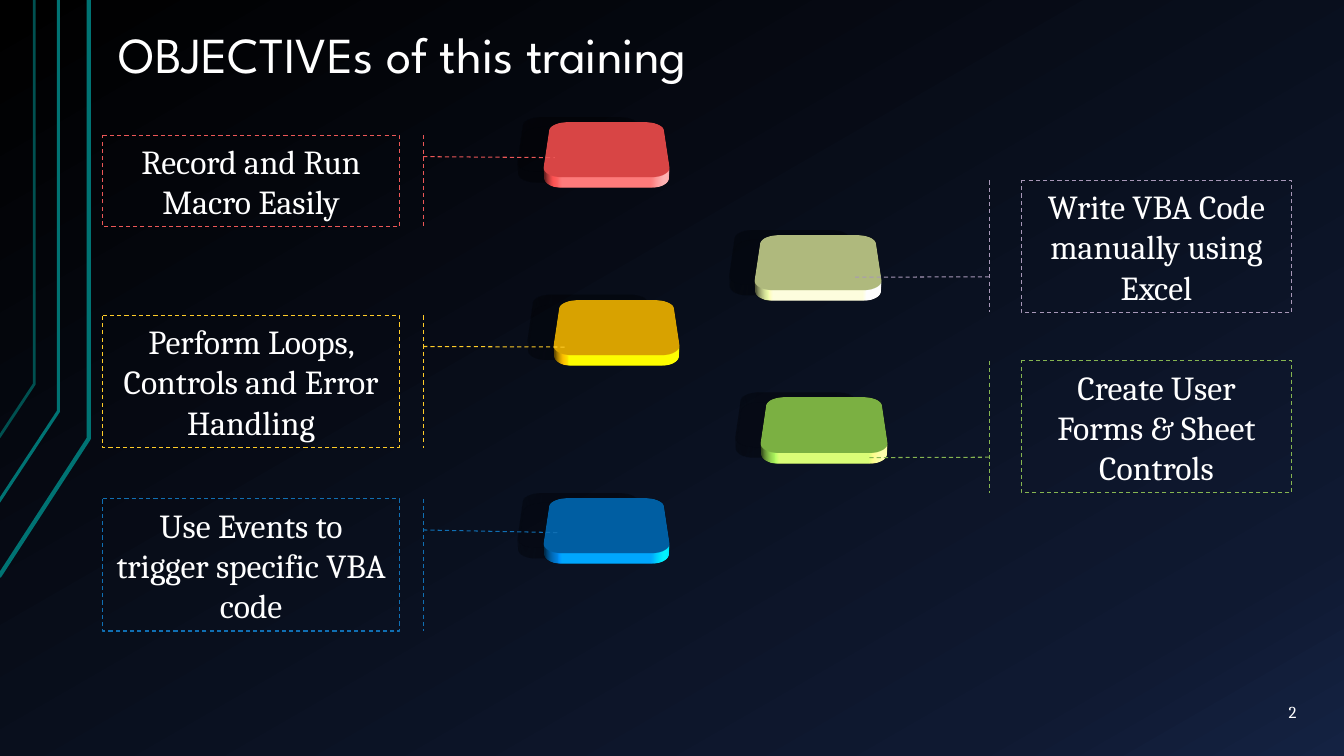
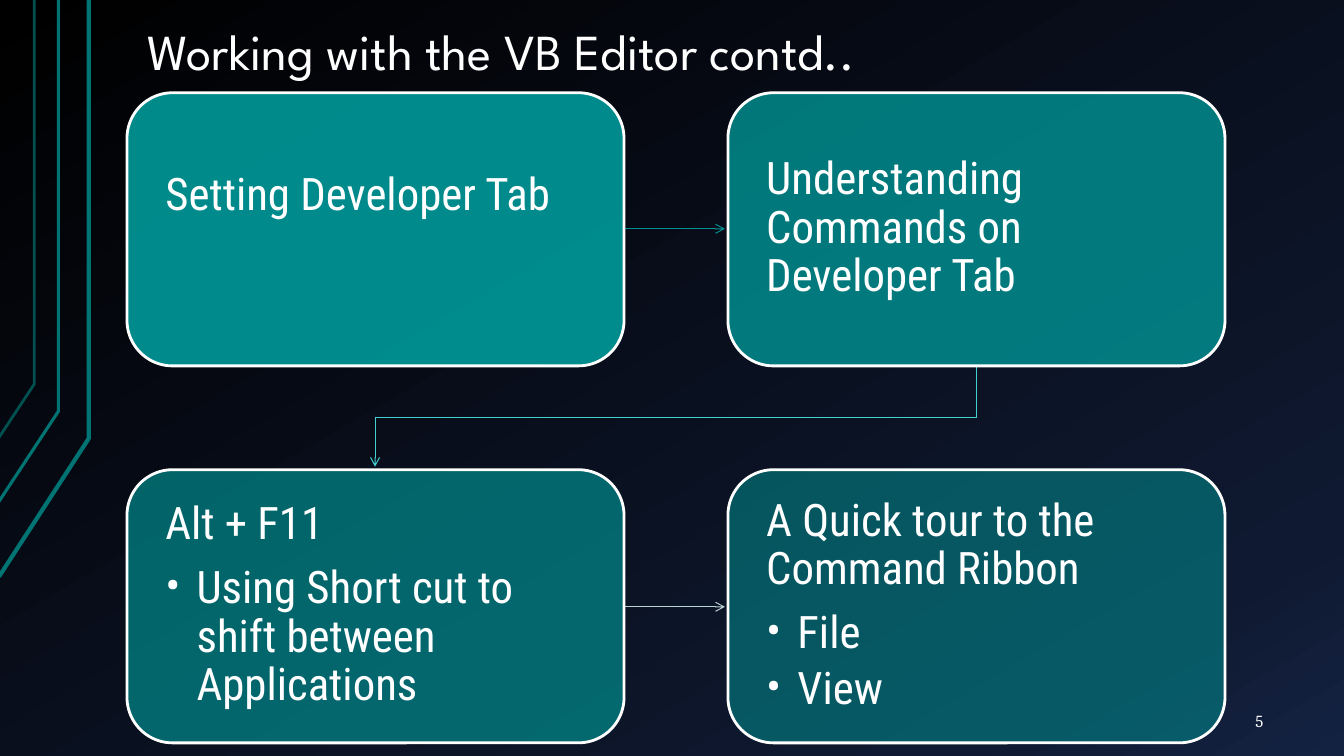
from copy import deepcopy

from lxml import etree
from pptx import Presentation
from pptx.dml.color import RGBColor
from pptx.enum.dml import MSO_LINE
from pptx.enum.shapes import MSO_SHAPE
from pptx.enum.text import MSO_ANCHOR, MSO_AUTO_SIZE, PP_ALIGN
from pptx.oxml import parse_xml
from pptx.oxml.ns import nsdecls, qn
from pptx.util import Inches, Pt

WHITE = RGBColor(0xFF, 0xFF, 0xFF)
BLACK = RGBColor(0x00, 0x00, 0x00)
NAVY = RGBColor(0x0F, 0x19, 0x31)
BLUE = RGBColor(0x14, 0x22, 0x42)
TEAL = RGBColor(0x00, 0x73, 0x73)
DIM = RGBColor(0x00, 0x50, 0x50)
CARD = RGBColor(0x00, 0x99, 0x99)
ARROW = RGBColor(0x00, 0x92, 0x92)
AQUA = RGBColor(0x40, 0xD1, 0xD1)
PALE = RGBColor(0xBC, 0xD4, 0xD4)
TILE_RED = RGBColor(0xFF, 0x53, 0x53)
TILE_SAGE = RGBColor(0xCF, 0xDB, 0x94)
TILE_GOLD = RGBColor(0xFF, 0xC0, 0x00)
TILE_LIME = RGBColor(0x92, 0xD0, 0x50)
TILE_BLUE = RGBColor(0x00, 0x70, 0xC0)
RED = RGBColor(0xEC, 0x57, 0x57)
MAUVE = RGBColor(0xA8, 0x98, 0xB8)
GOLD = RGBColor(0xFF, 0xCC, 0x28)
GREEN = RGBColor(0x86, 0xB5, 0x51)
COBALT = RGBColor(0x10, 0x6F, 0xB3)

LEFT, CENTER, RIGHT = PP_ALIGN.LEFT, PP_ALIGN.CENTER, PP_ALIGN.RIGHT
MIDDLE = MSO_ANCHOR.MIDDLE
FIXED, GROW = MSO_AUTO_SIZE.NONE, MSO_AUTO_SIZE.SHAPE_TO_FIT_TEXT
DASH = MSO_LINE.DASH
CALLOUT = MSO_SHAPE.LINE_CALLOUT_1_BORDER_AND_ACCENT_BAR
ROUND = MSO_SHAPE.ROUNDED_RECTANGLE

SHADOW = f"""<a:outerShdw {nsdecls("a")} blurRad="184150" dist="241300" dir="11520000"
 algn="ctr"><a:srgbClr val="000000"><a:alpha val="18000"/></a:srgbClr></a:outerShdw>"""
SCENE = f"""<a:scene3d {nsdecls("a")}><a:camera prst="perspectiveFront" fov="5100000">
<a:rot lat="18000000" lon="0" rev="0"/></a:camera><a:lightRig rig="flood" dir="t">
<a:rot lat="0" lon="0" rev="13800000"/></a:lightRig></a:scene3d>"""
DEPTH = f"""<a:sp3d {nsdecls("a")} extrusionH="107950" prstMaterial="plastic">
<a:bevelT w="82550" h="63500" prst="divot"/><a:bevelB/></a:sp3d>"""


def trace(slide, points, color, width):
    spots = [(Inches(x), Inches(y)) for x, y in points]
    pen = slide.shapes.build_freeform(*spots[0])
    pen.add_line_segments(spots[1:], close=False)
    shape = pen.convert_to_shape()
    shape.shadow.inherit = False
    shape.fill.background()
    shape.line.color.rgb = color
    shape.line.width = Pt(width)
    return shape


def write(shape, text, font, size, align, spacing, pad):
    frame = shape.text_frame
    frame.word_wrap = True
    frame.auto_size = FIXED
    frame.vertical_anchor = MIDDLE
    frame.margin_left = frame.margin_right = Inches(pad[0])
    frame.margin_top = frame.margin_bottom = Inches(pad[1])
    frame.text = text
    for para in frame.paragraphs:
        para.alignment = align
        para.line_spacing = spacing
        para.font.name = font
        para.font.size = Pt(size)
        para.font.color.rgb = WHITE
    return frame


prs = Presentation()
prs.slide_width = Inches(13.33)
prs.slide_height = Inches(7.5)
master = prs.slide_master
layout = prs.slide_layouts[5]

fill = master.background.fill
fill.gradient()
fill.gradient_angle = 300
stops = master.element.find(".//" + qn("a:gsLst"))
stops.append(deepcopy(stops[-1]))
for stop, (place, color) in zip(fill.gradient_stops, [(0, BLACK), (0.85, NAVY), (1, BLUE)]):
    stop.position = place
    stop.color.rgb = color

PAD = (0.13, 0.07)
HEADS = [
    ("OBJECTIVEs of this training", (1.05, 0.19, 11.33, 0.75), "2", (12, 6.87, 0.99, 0.38)),
    ("Working with the VB Editor contd..", (1.33, -0.13, 11.33, 1.34), "5", (11.55, 6.95, 1.11, 0.4)),
]
slides = []
for title, box, number, corner in HEADS:
    slide = prs.slides.add_slide(layout)
    head = slide.shapes.title
    head.left, head.top, head.width, head.height = map(Inches, box)
    write(head, title, "League Spartan", 36, LEFT, 0.9, PAD)
    page = slide.shapes.add_textbox(*map(Inches, corner))
    write(page, number, "Cambria", 12, RIGHT, 1.0, PAD)
    slides.append(slide)
goals, editor = slides

RAILS = [
    ([(-0.01, 5.72), (0.88, 4.35), (0.88, 0)], 3, TEAL),
    ([(-0.02, 4.99), (0.58, 4.08), (0.58, 0)], 2.25, TEAL),
    ([(-0.01, 4.34), (0.34, 3.81), (0.34, 0)], 2, DIM),
]
for index, (points, width, color) in enumerate(RAILS):
    rail = trace(goals, points, color, width)
    rail.element.find(".//" + qn("p:cNvPr")).set("id", str(50 + index))
    master.shapes.element.append(rail.element)

TILES = [
    (5.42, 4.66, TILE_BLUE),
    (5.52, 2.69, TILE_GOLD),
    (5.42, 0.93, TILE_RED),
    (7.52, 2.05, TILE_SAGE),
    (7.58, 3.66, TILE_LIME),
]
for left, top, color in TILES:
    tile = goals.shapes.add_shape(ROUND, *map(Inches, (left, top, 1.19, 1.08)))
    tile.shadow.inherit = False
    tile.fill.solid()
    tile.fill.fore_color.rgb = color
    tile.line.fill.background()
    effects = tile.element.find(".//" + qn("a:effectLst"))
    effects.append(parse_xml(SHADOW))
    props = effects.getparent()
    props.append(parse_xml(SCENE))
    props.append(parse_xml(DEPTH))

WEST = (1.02, 2.94, 0.235, 1.081)
EAST = (10.13, 2.68, 0.73, -0.119)
NOTES = [
    ("Record and Run Macro Easily", WEST, 1.34, 0.91, 0.246, 1.525, RED),
    ("Write VBA Code manually using Excel", EAST, 1.79, 1.31, 0.733, -0.623, MAUVE),
    ("Perform Loops, Controls and Error Handling", WEST, 3.13, 1.31, 0.239, 1.566, GOLD),
    ("Create User Forms & Sheet Controls", EAST, 3.58, 1.31, 0.733, -0.573, GREEN),
    ("Use Events to trigger specific VBA code", WEST, 4.95, 1.31, 0.255, 1.539, COBALT),
]
for text, (left, width, bar, edge), top, height, end, reach, color in NOTES:
    note = goals.shapes.add_shape(CALLOUT, *map(Inches, (left, top, width, height)))
    note.shadow.inherit = False
    note.fill.background()
    note.line.color.rgb = color
    note.line.width = Pt(0.75)
    note.line.dash_style = DASH
    for index, value in enumerate((bar, edge, end, reach)):
        note.adjustments[index] = value
    frame = write(note, text, "Cambria", 24, CENTER, 1.0, (0.1, 0.05))
    frame.auto_size = GROW

LINKS = [
    ([(6.18, 2.27), (7.19, 2.27)], ARROW),
    ([(9.69, 3.62), (9.69, 4.14), (3.72, 4.14), (3.72, 4.63)], AQUA),
    ([(6.18, 6.02), (7.19, 6.02)], PALE),
]
for points, color in LINKS:
    link = trace(editor, points, color, 0.75)
    line = link.element.find(".//" + qn("a:ln"))
    etree.SubElement(line, qn("a:tailEnd"), type="arrow")

CARDS = [
    ("Setting Developer Tab", [], 90),
    ("Understanding Commands on Developer Tab", [], 77),
    ("Alt + F11", ["Using Short cut to shift between Applications"], 63),
    ("A Quick tour to the Command Ribbon", ["File", "View"], 50),
]
for index, (text, items, alpha) in enumerate(CARDS):
    row, col = divmod(index, 2)
    left, top = 1.26 + 5.96 * col, 0.92 + 3.74 * row
    card = editor.shapes.add_shape(ROUND, *map(Inches, (left, top, 4.93, 2.71)))
    card.shadow.inherit = False
    card.fill.solid()
    card.fill.fore_color.rgb = CARD
    tint = card.element.find(".//" + qn("a:srgbClr"))
    etree.SubElement(tint, qn("a:alpha"), val=str(alpha * 1000))
    card.line.color.rgb = WHITE
    card.line.width = Pt(2)
    label = editor.shapes.add_textbox(*map(Inches, (left + 0.13, top + 0.13, 4.66, 2.44)))
    frame = write(label, "\n".join([text] + items), "Roboto Condensed", 32, LEFT, 0.9, (0.25, 0.25))
    if index == 0:
        frame.margin_bottom = Inches(0.9)
    first, *rest = frame.paragraphs
    first.space_after = Pt(11)
    for para in rest:
        para.level = 1
        para.space_after = Pt(5)
        props = para._p.get_or_add_pPr()
        props.set("marL", str(Inches(0.31)))
        props.set("indent", str(-Inches(0.31)))
        face = props.find(qn("a:defRPr"))
        face.addprevious(etree.Element(qn("a:buFont"), typeface="Roboto Condensed"))
        face.addprevious(etree.Element(qn("a:buChar"), char="•"))

prs.save("out.pptx")
